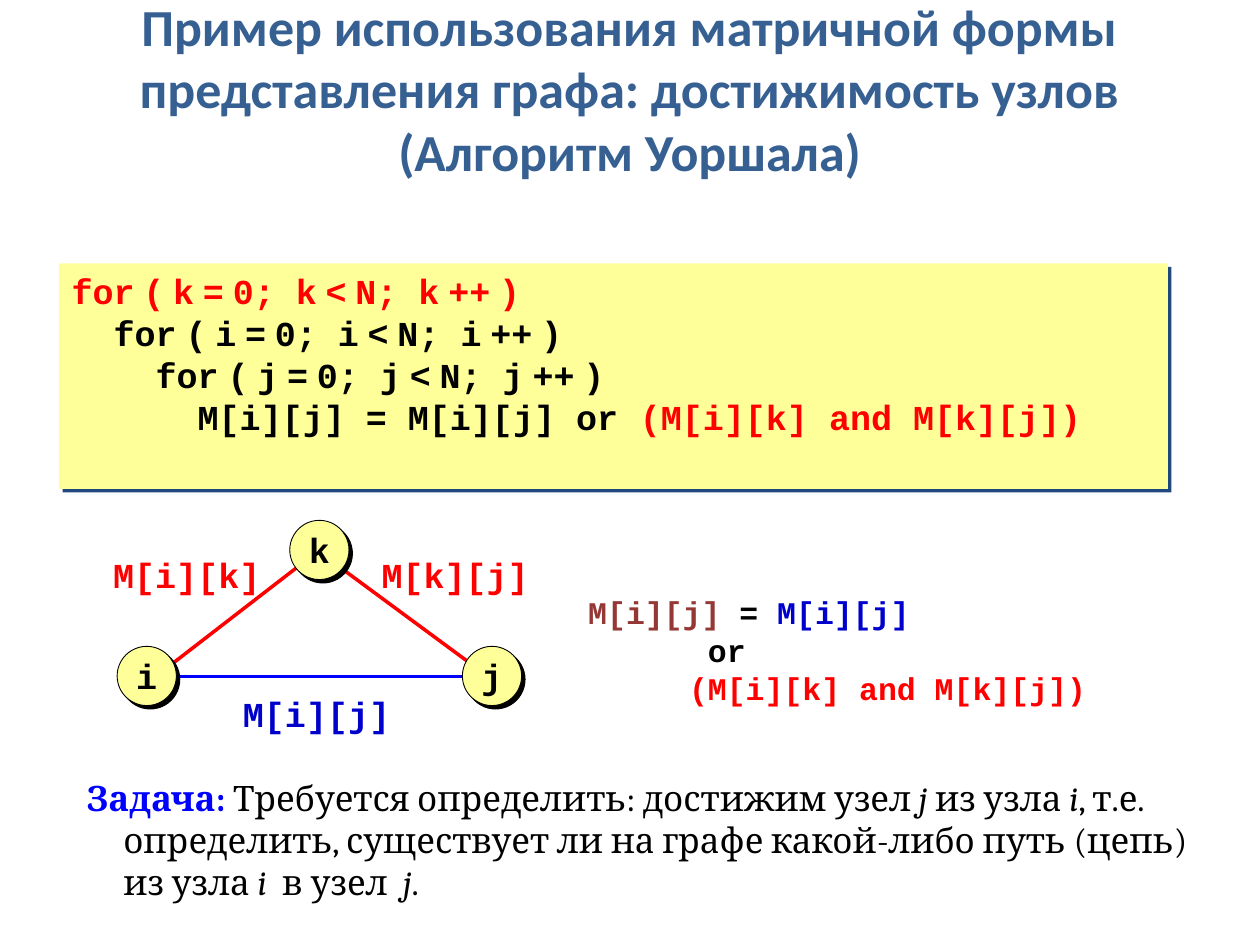
import pptx
import pptx.dml.color
import pptx.enum.shapes
import pptx.enum.text
import pptx.oxml
import pptx.oxml.ns
import pptx.util
from lxml import etree

Inches = pptx.util.Inches
Pt = pptx.util.Pt
ANCHOR = pptx.enum.text.MSO_ANCHOR
CENTER = pptx.enum.text.PP_ALIGN.CENTER
SHAPE = pptx.enum.shapes.MSO_SHAPE

COLORS = {
    "title": "376092",
    "yellow": "FFFF99",
    "navy": "1F497D",
    "black": "000000",
    "red": "FF0000",
    "blue": "0000FF",
    "label": "0000CC",
    "brown": "953735",
}

TITLE = [
    "Пример использования матричной формы представления графа: достижимость узлов",
    "(Алгоритм Уоршала)",
]
LOOPS = [("k", "red"), ("i", "black"), ("j", "black")]
LOOP_TEMPLATE = "for|(|{0}|=|0; {0}|<|N; {0}|++|)"
PATH_CONDITION = "(М[i][k] and М[k][j])"
EDGES = [
    ((1.34, 5.37), (3.73, 5.37), "blue"),
    ((1.3, 5.32), (2.53, 4.37), "red"),
    ((2.56, 4.4), (3.78, 5.3), "red"),
]
NODE_SIZE = 0.47
NODES = [("i", 0.93, 5.13), ("j", 3.67, 5.13), ("k", 2.3, 4.13)]
EDGE_LABELS = [
    ("М[i][j]", 1.83, 5.45, "label"),
    ("М[i][k]", 0.8, 4.34, "red"),
    ("М[k][j]", 2.93, 4.34, "red"),
]
FORMULA = [
    [("М[i][j] ", "brown"), ("= ", "black"), ("М[i][j]", "label")],
    [("\t   or", "black")],
    [("\t  ", "black"), (PATH_CONDITION, "red")],
]
TASK = [
    (" Требуется определить: достижим узел ", False),
    ("j ", True),
    ("из узла ", False),
    ("i", True),
    (", т.е. определить, существует ли на графе какой-либо путь (цепь) из узла ", False),
    ("i  ", True),
    ("в узел  ", False),
    ("j", True),
    (".", False),
]


def color(name):
    return pptx.dml.color.RGBColor.from_string(COLORS[name])


def add_run(paragraph, text, color_name, size=20, font="Courier New", bold=True, italic=False):
    run = paragraph.add_run()
    run.text = text
    run.font.name = font
    run.font.size = Pt(size)
    run.font.bold = bold
    run.font.italic = italic
    run.font.color.rgb = color(color_name)


def next_paragraph(frame, index):
    return frame.add_paragraph() if index else frame.paragraphs[0]


def add_text_box(shapes, left, top, width, height, wrap=True):
    frame = shapes.add_textbox(Inches(left), Inches(top), Inches(width), Inches(height)).text_frame
    frame.word_wrap = wrap
    return frame


def add_shadowed_shape(shapes, preset, left, top, width, height, shadow_color):
    shape = shapes.add_shape(preset, Inches(left), Inches(top), Inches(width), Inches(height))
    shape.fill.solid()
    shape.fill.fore_color.rgb = color("yellow")
    shape.shadow.inherit = False
    effects = shape._element.spPr.find(pptx.oxml.ns.qn("a:effectLst"))
    shadow = etree.SubElement(
        effects, pptx.oxml.ns.qn("a:outerShdw"),
        dist=str(Pt(2.8)), dir="2700000", algn="ctr", rotWithShape="0",
    )
    etree.SubElement(shadow, pptx.oxml.ns.qn("a:srgbClr"), val=COLORS[shadow_color])
    return shape


def add_title(slide):
    title = slide.shapes.title
    title.left, title.top, title.width, title.height = map(Inches, (0, 0, 10, 1.4))
    frame = title.text_frame
    frame.word_wrap = True
    frame.auto_size = pptx.enum.text.MSO_AUTO_SIZE.NONE
    frame.vertical_anchor = ANCHOR.MIDDLE
    for index, line in enumerate(TITLE):
        paragraph = next_paragraph(frame, index)
        paragraph.alignment = CENTER
        add_run(paragraph, line, "title", 29.7, "Calibri")


def add_code(slide):
    box = add_shadowed_shape(slide.shapes, SHAPE.RECTANGLE, 0.47, 2.09, 8.8, 1.79, "navy")
    box.line.fill.background()
    frame = box.text_frame
    frame.word_wrap = True
    frame.vertical_anchor = ANCHOR.TOP
    for depth, (variable, color_name) in enumerate(LOOPS):
        paragraph = next_paragraph(frame, depth)
        paragraph.alignment = pptx.enum.text.PP_ALIGN.LEFT
        tokens = ("  " * depth + LOOP_TEMPLATE.format(variable)).split("|")
        for position, token in enumerate(tokens):
            if position:
                add_run(paragraph, " ", color_name, 18, "Arial")
            add_run(paragraph, token, color_name)
    paragraph = frame.add_paragraph()
    paragraph.alignment = pptx.enum.text.PP_ALIGN.LEFT
    add_run(paragraph, "  " * len(LOOPS) + "М[i][j] = М[i][j] or ", "black")
    add_run(paragraph, PATH_CONDITION, "red")


def add_graph(slide):
    shapes = slide.shapes.add_group_shape().shapes
    for start, end, color_name in EDGES:
        edge = shapes.add_connector(
            pptx.enum.shapes.MSO_CONNECTOR.STRAIGHT, *map(Inches, start + end))
        edge.line.color.rgb = color(color_name)
        edge.line.width = Pt(2)
        etree.SubElement(edge._element.spPr, pptx.oxml.ns.qn("a:effectLst"))
    for name, left, top in NODES:
        node = add_shadowed_shape(shapes, SHAPE.OVAL, left, top, NODE_SIZE, NODE_SIZE, "black")
        node.line.color.rgb = color("black")
        node.line.width = Pt(0.5)
        frame = node.text_frame
        frame.word_wrap = False
        frame.vertical_anchor = ANCHOR.MIDDLE
        frame.paragraphs[0].alignment = CENTER
        add_run(frame.paragraphs[0], name, "black")
    for text, left, top, color_name in EDGE_LABELS:
        frame = add_text_box(shapes, left, top, 1.38, 0.44, wrap=False)
        add_run(frame.paragraphs[0], text, color_name)


def add_formula(slide):
    frame = add_text_box(slide.shapes, 4.57, 4.66, 4.79, 1.01)
    for index, line in enumerate(FORMULA):
        paragraph = next_paragraph(frame, index)
        for text, color_name in line:
            add_run(paragraph, text, color_name, 18)


def add_task(slide):
    paragraph = add_text_box(slide.shapes, 0.59, 6.11, 9.14, 1.11).paragraphs[0]
    properties = paragraph._p.get_or_add_pPr()
    properties.set("marL", str(Inches(0.29)))
    properties.set("indent", str(Inches(-0.29)))
    add_run(paragraph, "Задача:", "blue", font="Cambria")
    for text, italic in TASK:
        add_run(paragraph, text, "black", font="Cambria", bold=False, italic=italic)


def main():
    presentation = pptx.Presentation()
    presentation.slide_width = Inches(10)
    presentation.slide_height = Inches(7.5)
    slide = presentation.slides.add_slide(presentation.slide_layouts[5])
    add_title(slide)
    add_graph(slide)
    add_code(slide)
    add_task(slide)
    add_formula(slide)
    presentation.save("out.pptx")


if __name__ == "__main__":
    main()
